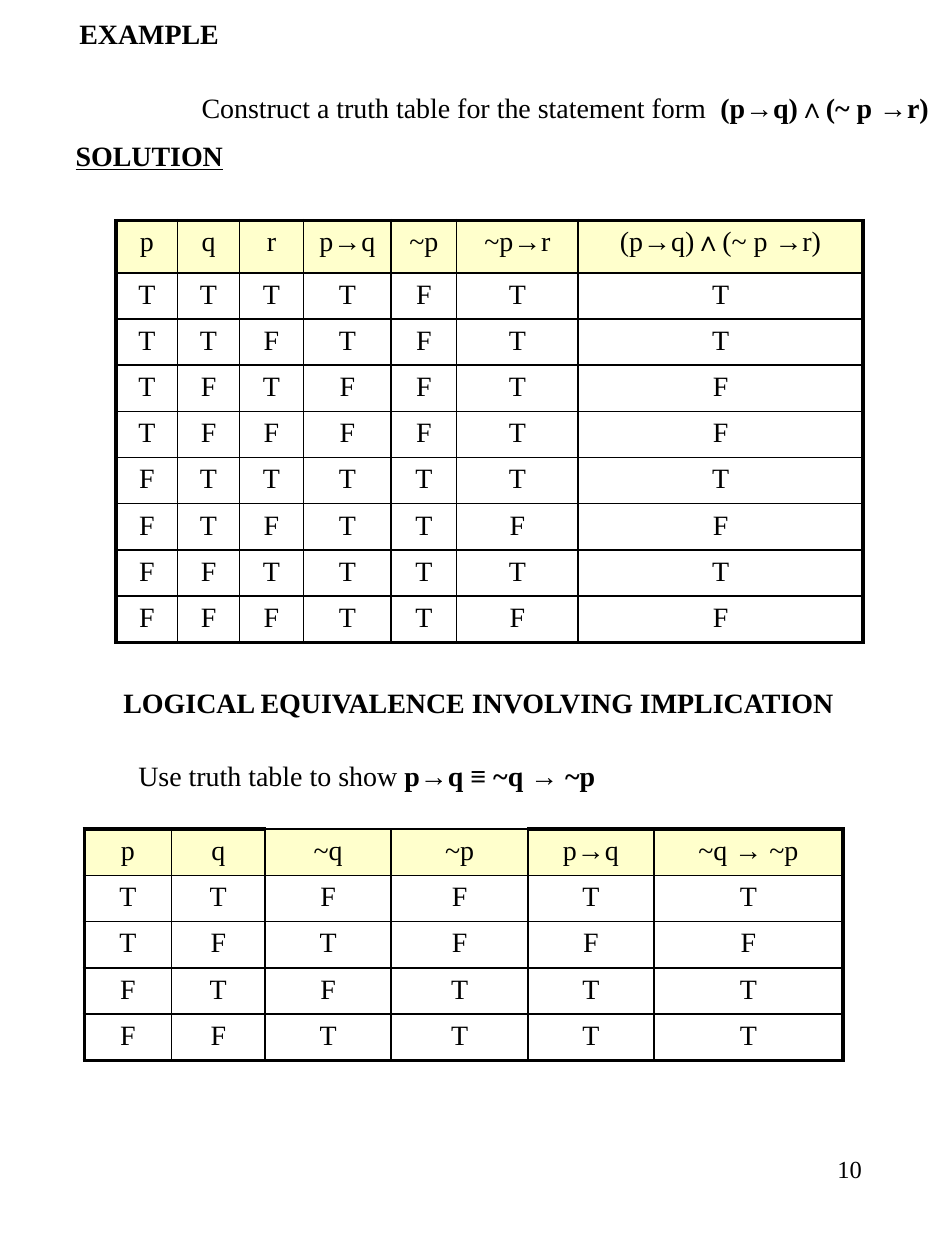
from itertools import product

from pptx import Presentation
from pptx.dml.color import RGBColor
from pptx.enum.text import MSO_ANCHOR, MSO_AUTO_SIZE, PP_ALIGN
from pptx.oxml import parse_xml
from pptx.oxml.ns import nsdecls
from pptx.util import Inches, Pt

THEME = dict(font="Times New Roman", ink="000000", header="FFFFCC",
             text=16, number=14, thin=1, thick=2.25)
COLS, ROWS = 75, 100          # slide grid
WIDTH, HEIGHT = Inches(7.5), Inches(10)
FORMULA = "(p→q)∧(~ p →r)"


def col(n):
    return round(n * WIDTH / COLS)


def row(n):
    return round(n * HEIGHT / ROWS)


def place(box):
    x, y, w, h = box
    return col(x), row(y), col(w), row(h)


def set_all(obj, **values):
    for name, value in values.items():
        setattr(obj, name, value)


def add_runs(p, runs, size=THEME["text"], **fmt):
    """Fill a paragraph from a string or from (text, format) pairs."""
    for text, extra in ([(runs, {})] if isinstance(runs, str) else runs):
        r = p.add_run()
        r.text = text
        set_all(r.font, name=THEME["font"], size=Pt(size), **{**fmt, **extra})
        r.font.color.rgb = RGBColor.from_string(THEME["ink"])


def write(sp, box, paragraphs, align=PP_ALIGN.LEFT, anchor=MSO_ANCHOR.TOP, **fmt):
    """Write (runs, left margin in columns, space before) into a shape."""
    set_all(sp, **dict(zip(("left", "top", "width", "height"), place(box))))
    tf = sp.text_frame
    set_all(tf, word_wrap=True, auto_size=MSO_AUTO_SIZE.NONE,
            vertical_anchor=anchor, margin_right=col(1 if align == PP_ALIGN.RIGHT else 0))
    for i, (runs, margin, before) in enumerate(paragraphs):
        p = tf.paragraphs[0] if i == 0 else tf.add_paragraph()
        set_all(p, alignment=align, space_before=Pt(before))
        pPr = p._p.get_or_add_pPr()
        pPr.set("marL", str(col(margin)))
        pPr.set("indent", "0")
        pPr.append(parse_xml(f"<a:buNone {nsdecls('a')}/>"))
        add_runs(p, runs, **fmt)


def set_borders(cell, widths):
    tcPr = cell._tc.get_or_add_tcPr()
    for side, width in zip("LRTB", widths):
        tcPr.append(parse_xml(
            f'<a:ln{side} {nsdecls("a")} w="{Pt(width)}"><a:solidFill>'
            f'<a:srgbClr val="{THEME["ink"]}"/></a:solidFill></a:ln{side}>'))


def truth_table(s, box, widths, header_height, heads, values, thin_heads=()):
    """Truth table with a thick frame; thin_heads lists columns with a thin top."""
    n_rows, n_cols = len(values) + 1, len(heads)
    table = s.shapes.add_table(n_rows, n_cols, *place(box)).table
    set_all(table, first_row=False, horz_banding=False)
    for column, width in zip(table.columns, widths):
        column.width = col(width)
    body_height = (box[3] - header_height) / len(values)
    thin, thick = THEME["thin"], THEME["thick"]
    for i, line in enumerate([heads, *values]):
        table.rows[i].height = row(body_height if i else header_height)
        for j, item in enumerate(line):
            cell = table.cell(i, j)
            edges = (j == 0, j == n_cols - 1,
                     i == 0 and j not in thin_heads, i == n_rows - 1)
            set_borders(cell, [thick if edge else thin for edge in edges])
            if i:
                cell.fill.background()
            else:
                cell.fill.solid()
                cell.fill.fore_color.rgb = RGBColor.from_string(THEME["header"])
            p = cell.text_frame.paragraphs[0]
            p.alignment = PP_ALIGN.CENTER
            text = ("T" if item else "F") if i else item
            add_runs(p, text, bold=False)


def example(s, box):
    """Task, statement and its truth table."""
    x, y, w, h = box
    write(s.shapes.title, (x + 0.8, y - 0.8, 63.8, 6.9), [("EXAMPLE", 4.5, 0)],
          anchor=MSO_ANCHOR.MIDDLE, bold=True)
    write(s.placeholders[1], (x, y + 6.7, w, 7.7), [
        ([("Construct a truth table for the statement form  ", {}),
          (FORMULA, {"bold": True})], 15, 0),
        ([("SOLUTION", {"bold": True, "underline": True})], 5, 8)])
    values = [(p, q, r, not p or q, not p, p or r, (not p or q) and (p or r))
              for p, q, r in product((True, False), repeat=3)]
    truth_table(s, (x + 9.2, y + 17.5, 59.4, 33.5),
                (4.9, 4.9, 5.1, 6.95, 5.2, 9.65, 22.6), 4.15,
                ["p", "q", "r", [("p", {}), ("→", {"bold": True}), ("q", {})],
                 "~p", "~p→r", FORMULA], values)


def equivalence(s, box):
    """Heading, task and truth table for the equivalence."""
    x, y, w, h = box
    write(s.shapes.add_textbox(0, 0, 0, 0), (x + 5.6, y, 63.8, 5.3),
          [("LOGICAL EQUIVALENCE INVOLVING IMPLICATION", 0, 0)],
          align=PP_ALIGN.CENTER, anchor=MSO_ANCHOR.MIDDLE, bold=True)
    write(s.shapes.add_textbox(0, 0, 0, 0), (x, y + 6.6, w, 3.7),
          [([("Use truth table to show ", {}),
             ("p→q ≡ ~q → ~p", {"bold": True})], 10, 0)])
    values = [(p, q, not q, not p, not p or q, q or not p)
              for p, q in product((True, False), repeat=2)]
    truth_table(s, (x + 6.7, y + 12.7, 60.2, 18.35),
                (6.9, 7.45, 10, 10.85, 10, 15), 3.67,
                ["p", "q", "~q", "~p", "p→q", "~q → ~p"], values, thin_heads=(2, 3))


def page_number(s, box, number):
    write(s.shapes.add_textbox(0, 0, 0, 0), box, [(number, 0, 0)],
          align=PP_ALIGN.RIGHT, size=THEME["number"])


def main():
    prs = Presentation()
    set_all(prs, slide_width=WIDTH, slide_height=HEIGHT)
    s = prs.slides.add_slide(prs.slide_layouts[1])
    example(s, (0, 0, COLS, 51))
    equivalence(s, (0, 53.1, COLS, 31))
    page_number(s, (53.8, 91.1, 15.6, 6.7), "10")
    prs.save("out.pptx")


if __name__ == "__main__":
    main()
